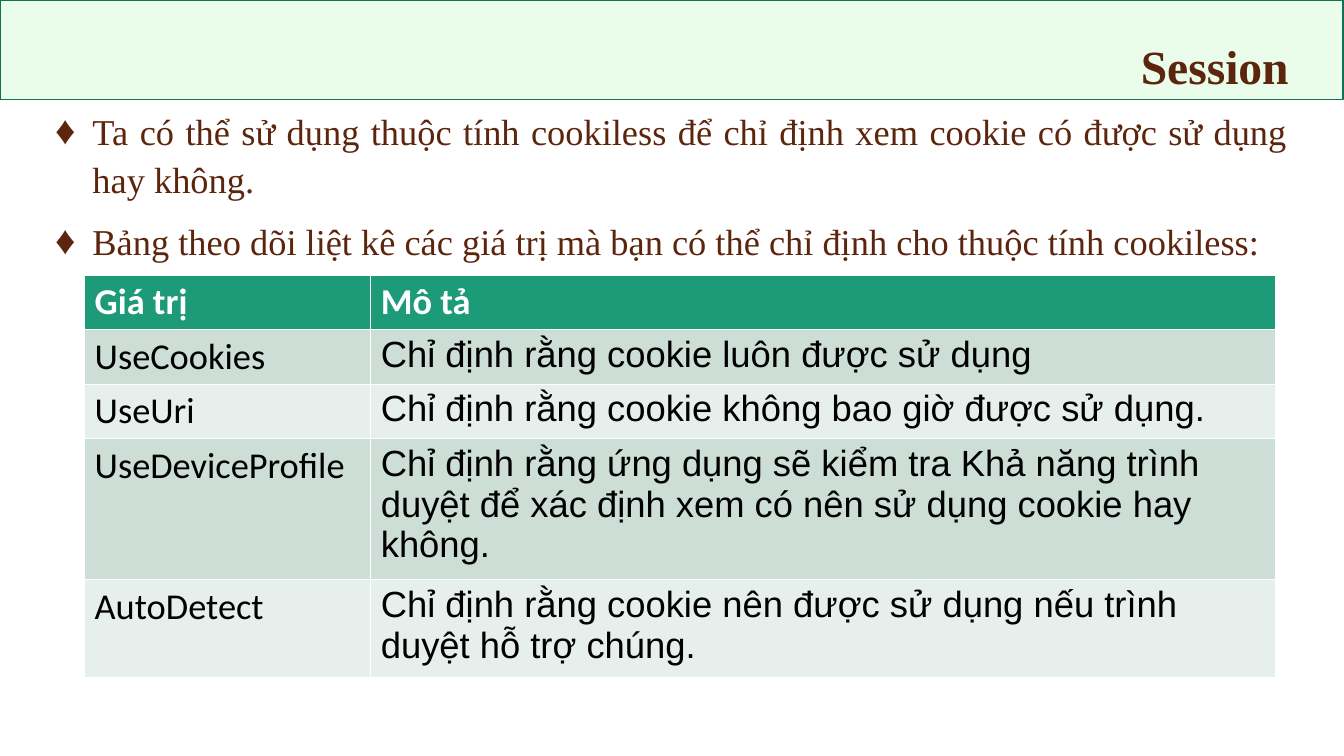
from lxml.etree import SubElement
from pptx import Presentation
from pptx.dml.color import RGBColor
from pptx.enum.shapes import MSO_SHAPE
from pptx.enum.text import MSO_ANCHOR, PP_ALIGN
from pptx.oxml.ns import qn
from pptx.util import Pt

PX = 9144  # EMU per px, 100 px to the inch
BROWN = "5C250D"
WHITE = "FFFFFF"


def color(value):
    return RGBColor.from_string(value)


def add_run(paragraph, text, size, font, text_color, bold=False):
    run = paragraph.add_run()
    run.text = text
    run.font.size = Pt(size)
    run.font.name = font
    run.font.bold = bold
    run.font.color.rgb = color(text_color)


presentation = Presentation()
presentation.slide_width = 1334 * PX
presentation.slide_height = 750 * PX
slide = presentation.slides.add_slide(presentation.slide_layouts[6])

# Header band and title
band = slide.shapes.add_shape(MSO_SHAPE.RECTANGLE, 0, 0, 1333 * PX, 99 * PX)
band.shadow.inherit = False
band.fill.solid()
band.fill.fore_color.rgb = color("E9FDEA")
band.line.color.rgb = color("127056")
band.line.width = Pt(1)

title = slide.shapes.add_textbox(45 * PX, 0, 1244 * PX, 99 * PX).text_frame
title.word_wrap = True
title.vertical_anchor = MSO_ANCHOR.BOTTOM
paragraph = title.paragraphs[0]
paragraph.alignment = PP_ALIGN.RIGHT
paragraph.line_spacing = 0.9
add_run(paragraph, "Session", 34, "Times New Roman", BROWN, bold=True)

# Bullets
bullets = [
    "Ta có thể sử dụng thuộc tính cookiless để chỉ định xem cookie có được sử dụng hay không.",
    "Bảng theo dõi liệt kê các giá trị mà bạn có thể chỉ định cho thuộc tính cookiless:",
]
body = slide.shapes.add_textbox(45 * PX, 99 * PX, 1244 * PX, 576 * PX).text_frame
body.word_wrap = True
for index, text in enumerate(bullets):
    paragraph = body.add_paragraph() if index else body.paragraphs[0]
    properties = paragraph._p.get_or_add_pPr()
    properties.set("marL", str(37 * PX))
    properties.set("indent", str(-37 * PX))
    bullet_color = SubElement(properties, qn("a:buClr"))
    SubElement(bullet_color, qn("a:srgbClr"), val=BROWN)
    SubElement(properties, qn("a:buSzPct"), val="110000")
    SubElement(properties, qn("a:buFont"), typeface="Times New Roman")
    SubElement(properties, qn("a:buChar"), char="♦")
    paragraph.alignment = PP_ALIGN.JUSTIFY
    paragraph.line_spacing = 1.1
    if index:
        paragraph.space_before = Pt(10)
    add_run(paragraph, text, 26, "Times New Roman", BROWN)

# Table of values
rows = [
    ("Giá trị", "Mô tả"),
    ("UseCookies", "Chỉ định rằng cookie luôn được sử dụng"),
    ("UseUri", "Chỉ định rằng cookie không bao giờ được sử dụng."),
    ("UseDeviceProfile", "Chỉ định rằng ứng dụng sẽ kiểm tra Khả năng trình duyệt "
                         "để xác định xem có nên sử dụng cookie hay không."),
    ("AutoDetect", "Chỉ định rằng cookie nên được sử dụng nếu trình duyệt hỗ trợ chúng."),
]
row_heights = [54, 54, 54, 140, 97]
column_widths = [284, 898]
table = slide.shapes.add_table(
    len(rows), len(column_widths), 84 * PX, 273 * PX,
    sum(column_widths) * PX, sum(row_heights) * PX).table
for column, width in zip(table.columns, column_widths):
    column.width = width * PX
for row, height in zip(table.rows, row_heights):
    row.height = height * PX

for row_index, row in enumerate(rows):
    header = row_index == 0
    fill = "1D9A78" if header else ("E7EFEC", "CCDED6")[row_index % 2]
    for column_index, text in enumerate(row):
        cell = table.cell(row_index, column_index)
        cell_properties = cell._tc.get_or_add_tcPr()
        for side in "LRTB":
            thick = (row_index, side) in ((0, "B"), (1, "T"))
            border = SubElement(cell_properties, qn(f"a:ln{side}"),
                                w=str(Pt(1.47 if thick else 0.45)))
            border_fill = SubElement(border, qn("a:solidFill"))
            SubElement(border_fill, qn("a:srgbClr"), val=WHITE)
        cell.fill.solid()
        cell.fill.fore_color.rgb = color(fill)
        font = "Calibri" if header or column_index == 0 else "Arial"
        add_run(cell.text_frame.paragraphs[0], text, 26, font,
                WHITE if header else "000000", bold=header)

presentation.save("out.pptx")
